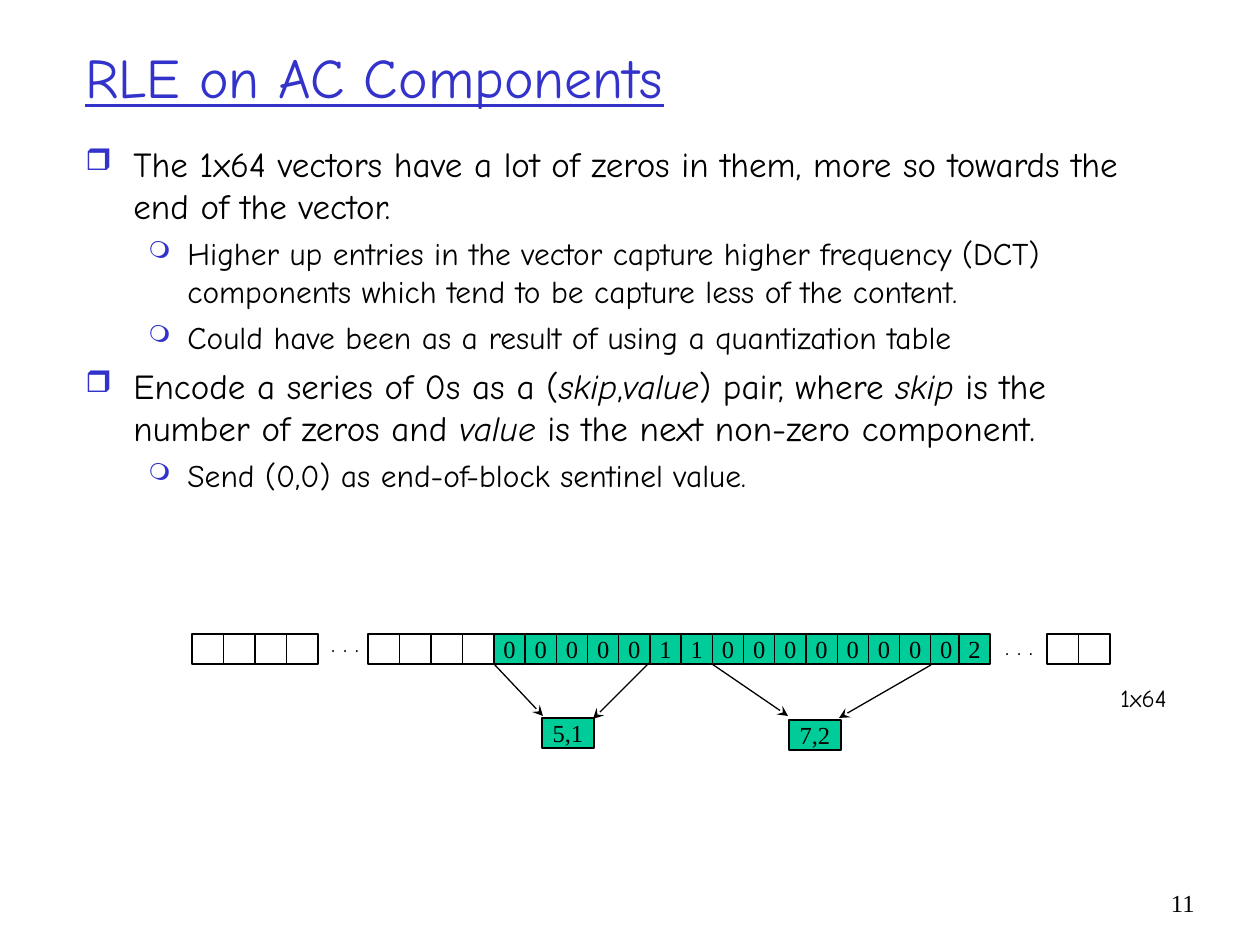
from lxml import etree
from pptx import Presentation
from pptx.dml.color import RGBColor
from pptx.enum.shapes import MSO_CONNECTOR, MSO_SHAPE
from pptx.enum.text import MSO_ANCHOR, MSO_AUTO_SIZE, PP_ALIGN
from pptx.oxml.ns import qn
from pptx.util import Emu, Pt

RECT = MSO_SHAPE.RECTANGLE
LINE = MSO_CONNECTOR.STRAIGHT
MIDDLE = MSO_ANCHOR.MIDDLE
TOP = MSO_ANCHOR.TOP
GROW = MSO_AUTO_SIZE.SHAPE_TO_FIT_TEXT
CENTER, LEFT, RIGHT = PP_ALIGN.CENTER, PP_ALIGN.LEFT, PP_ALIGN.RIGHT

BLACK = RGBColor(0x00, 0x00, 0x00)
BLUE = RGBColor(0x33, 0x33, 0xCC)
GREEN = RGBColor(0x00, 0xCC, 0x99)
SANS, SERIF = "Comic Neue", "Times New Roman"

SCALE = 914400 / 126  # EMU per px

# Bullet levels: mark, mark size %, text size, space before, margin, hang
LEVELS = [("❒", 85, 20, 5, 48, 48), ("❍", 75, 18, 4.5, 102, 39)]

# Underscores enclose italic words
POINTS = [
    (0, "The 1x64 vectors have a lot of zeros in them, more so towards the "
        "end of the vector."),
    (1, "Higher up entries in the vector capture higher frequency (DCT) "
        "components which tend to be capture less of the content."),
    (1, "Could have been as a result of using a quantization table"),
    (0, "Encode a series of 0s as a (_skip_,_value_) pair, where _skip_ is "
        "the number of zeros and _value_ is the next non-zero component."),
    (1, "Send (0,0) as end-of-block sentinel value."),
]

ROW_Y, CELL_H = 634, 30
EMPTY_W, FULL_W = 31.5, 31.2  # steps of empty and filled cells
FULL_X, LAST_X = 494, 959
VALUES = "000001100000000"


def px(n):
    return Emu(round(n * SCALE))


def style(run, size, font, color=BLACK):
    run.font.size = Pt(size)
    run.font.name = font
    run.font.color.rgb = color


def add_text(slide, x, y, w, h, text, size, font=SANS, color=BLACK,
             wrap=True, align=LEFT, anchor=TOP):
    box = slide.shapes.add_textbox(px(x), px(y), px(w), px(h))
    frame = box.text_frame
    frame.word_wrap = wrap
    frame.vertical_anchor = anchor
    if not wrap:
        frame.auto_size = GROW
    frame.text = text
    par = frame.paragraphs[0]
    par.alignment = align
    style(par.runs[0], size, font, color)
    return par.runs[0]


def set_bullet(par, level):
    mark, scale, _, space, margin, hang = LEVELS[level]
    par.level = level
    par.space_before = Pt(space)
    props = par._p.get_or_add_pPr()
    props.set("marL", str(px(margin)))
    props.set("indent", str(px(-hang)))
    color = etree.SubElement(props, qn("a:buClr"))
    etree.SubElement(color, qn("a:srgbClr"), val=str(BLUE))
    etree.SubElement(props, qn("a:buSzPct"), val=str(scale * 1000))
    etree.SubElement(props, qn("a:buChar"), char=mark)


def add_points(slide, x, y, w, h):
    box = slide.shapes.add_textbox(px(x), px(y), px(w), px(h))
    frame = box.text_frame
    frame.word_wrap = True
    for i, (level, text) in enumerate(POINTS):
        par = frame.add_paragraph() if i else frame.paragraphs[0]
        set_bullet(par, level)
        for j, part in enumerate(text.split("_")):
            run = par.add_run()
            run.text = part
            style(run, LEVELS[level][2], SANS)
            run.font.italic = j % 2 == 1


def add_cell(slide, x, y, w, text=""):
    cell = slide.shapes.add_shape(RECT, px(x), px(y), px(w), px(CELL_H))
    cell.shadow.inherit = False
    cell.line.color.rgb = BLACK
    cell.line.width = Pt(0.75)
    if not text:
        cell.fill.background()
        return
    cell.fill.solid()
    cell.fill.fore_color.rgb = GREEN
    frame = cell.text_frame
    frame.word_wrap = False
    frame.vertical_anchor = MIDDLE
    frame.text = text
    par = frame.paragraphs[0]
    par.alignment = CENTER
    style(par.runs[0], 14, SERIF)


def add_empty(slide, x, count):
    for i in range(count):
        add_cell(slide, x + i * EMPTY_W, ROW_Y, EMPTY_W)


def add_arrow(slide, x1, y1, x2, y2):
    arrow = slide.shapes.add_connector(LINE, px(x1), px(y1), px(x2), px(y2))
    arrow.line.color.rgb = BLACK
    arrow.line.width = Pt(0.75)
    etree.SubElement(arrow.line._get_or_add_ln(), qn("a:tailEnd"),
                     type="stealth")
    etree.SubElement(arrow._element.spPr, qn("a:effectLst"))


def main():
    deck = Presentation()
    deck.slide_width, deck.slide_height = px(1260), px(945)
    slide = deck.slides.add_slide(deck.slide_layouts[6])

    # Title and bullet points
    title = add_text(slide, 73, 32, 1071, 88, "RLE on AC Components", 32,
                     color=BLUE, anchor=MIDDLE)
    title.font.underline = True
    add_points(slide, 73, 136, 1097, 416)

    # Vector row: empty cells, gaps and the encoded stretch
    for x, count in ((192, 4), (368, 4), (1047, 2)):
        add_empty(slide, x, count)
    for x, y in ((319, 622), (993, 625)):
        add_text(slide, x, y, 53, 43, ". . .", 14, wrap=False)
    for i, value in enumerate(VALUES):
        add_cell(slide, FULL_X + i * FULL_W, ROW_Y, FULL_W, value)
    add_cell(slide, LAST_X, ROW_Y, FULL_W, "2")
    add_text(slide, 1108, 677, 72, 43, "1x64", 14, wrap=False)

    # Pairs with arrows from both ends of each run of zeros
    for x, y, pair in ((542, 718, "5,1"), (789, 720, "7,2")):
        add_cell(slide, x, y, 52, pair)
    for ends in ((494, 664, 543, 716), (649, 663, 593, 719),
                 (712, 664, 788, 716), (931, 665, 839, 718)):
        add_arrow(slide, *ends)

    # Page number
    add_text(slide, 1144, 882, 63, 63, "11", 14, font=SERIF, align=RIGHT)

    deck.save("out.pptx")


if __name__ == "__main__":
    main()
